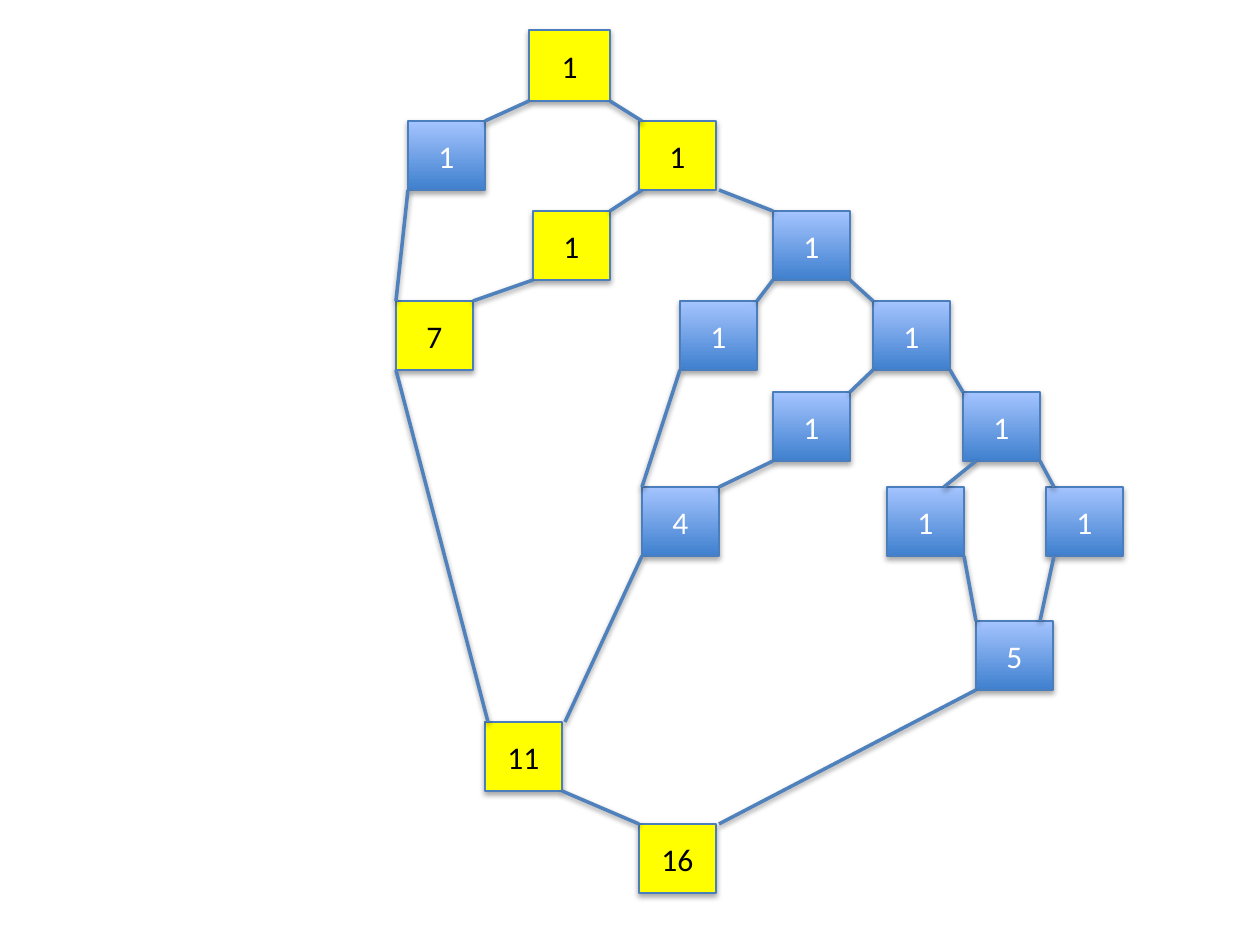
from dataclasses import dataclass

import lxml.etree
import pptx
import pptx.dml.color
import pptx.enum.shapes
import pptx.enum.text
import pptx.oxml.ns
import pptx.util

RGBColor = pptx.dml.color.RGBColor
YELLOW = RGBColor(0xFF, 0xFF, 0x00)
BLUE_BOTTOM = RGBColor(0x3F, 0x80, 0xCE)
BLUE_TOP = RGBColor(0xA4, 0xC4, 0xFF)
OUTLINE = RGBColor(0x4B, 0x7E, 0xBC)
EDGE_COLOR = RGBColor(0x4F, 0x81, 0xBD)
BLACK = RGBColor(0, 0, 0)
WHITE = RGBColor(0xFF, 0xFF, 0xFF)

EMU_PER_PIXEL = 914400 / 126


def px(pixels: int) -> pptx.util.Emu:
    return pptx.util.Emu(round(pixels * EMU_PER_PIXEL))


@dataclass(frozen=True)
class Node:
    text: str
    left: int
    top: int
    highlighted: bool = False
    width: int = 77
    height: int = 69

    def corner(self, side: str, shift: int) -> tuple[int, int]:
        """Corner such as "BL" (bottom left), shifted sideways."""
        x = self.left + (self.width if side[1] == "R" else 0)
        y = self.top + (self.height if side[0] == "B" else 0)
        return x + shift, y


@dataclass(frozen=True)
class Edge:
    start: str
    start_corner: str
    end: str
    end_corner: str
    start_shift: int = 0
    end_shift: int = 0


NODES = {
    "root": Node("1", 529, 30, True, 81, 71),
    "left": Node("1", 408, 121),
    "right": Node("1", 639, 121, True),
    "right_left": Node("1", 533, 211, True),
    "right_right": Node("1", 773, 211),
    "seven": Node("7", 396, 301, True),
    "third_right": Node("1", 873, 301),
    "third_left": Node("1", 680, 301),
    "fourth_left": Node("1", 773, 392),
    "fourth_right": Node("1", 963, 392),
    "leaf_left": Node("1", 887, 487),
    "leaf_right": Node("1", 1046, 487),
    "five": Node("5", 976, 621),
    "four": Node("4", 642, 487),
    "eleven": Node("11", 485, 722, True),
    "sixteen": Node("16", 639, 824, True),
}

EDGES = [
    # Branches that split downwards
    Edge("root", "BL", "left", "TR"),
    Edge("root", "BR", "right", "TL", 0, 3),
    Edge("right", "BL", "right_left", "TR", 3),
    Edge("right", "BR", "right_right", "TL", 3),
    Edge("right_right", "BL", "third_left", "TR"),
    Edge("right_right", "BR", "third_right", "TL"),
    Edge("third_right", "BL", "fourth_left", "TR"),
    Edge("third_right", "BR", "fourth_right", "TL"),
    Edge("fourth_right", "BL", "leaf_left", "TR", 13, -20),
    Edge("fourth_right", "BR", "leaf_right", "TL", 0, 8),
    # Branches that merge into sums
    Edge("left", "BL", "seven", "TL"),
    Edge("right_left", "BL", "seven", "TR"),
    Edge("third_left", "BL", "four", "TL"),
    Edge("fourth_left", "BL", "four", "TR"),
    Edge("leaf_left", "BR", "five", "TL"),
    Edge("leaf_right", "BL", "five", "TR", 8, -13),
    Edge("seven", "BL", "eleven", "TL", 0, 3),
    Edge("four", "BL", "eleven", "TR", 0, 3),
    Edge("eleven", "BR", "sixteen", "TL"),
    Edge("five", "BL", "sixteen", "TR", 0, 3),
]


def add_shadow(shape, distance: int, opacity: int) -> None:
    qn = pptx.oxml.ns.qn
    effects = lxml.etree.SubElement(shape._element.spPr, qn("a:effectLst"))
    shadow = lxml.etree.SubElement(
        effects, qn("a:outerShdw"), blurRad="40000", dist=str(distance),
        dir="5400000", rotWithShape="0")
    color = lxml.etree.SubElement(shadow, qn("a:srgbClr"), val="000000")
    lxml.etree.SubElement(color, qn("a:alpha"), val=str(opacity * 1000))


def add_node(slide, node: Node) -> None:
    shape = slide.shapes.add_shape(
        pptx.enum.shapes.MSO_SHAPE.RECTANGLE,
        px(node.left), px(node.top), px(node.width), px(node.height))
    if node.highlighted:
        shape.fill.solid()
        shape.fill.fore_color.rgb = YELLOW
    else:
        shape.fill.gradient()
        shape.fill.gradient_angle = 90
        for stop, color in zip(shape.fill.gradient_stops, (BLUE_BOTTOM, BLUE_TOP)):
            stop.color.rgb = color
    shape.line.color.rgb = OUTLINE
    shape.line.width = pptx.util.Pt(0.75)
    add_shadow(shape, 23000, 35)

    frame = shape.text_frame
    frame.text = node.text
    frame.vertical_anchor = pptx.enum.text.MSO_ANCHOR.MIDDLE
    paragraph = frame.paragraphs[0]
    paragraph.alignment = pptx.enum.text.PP_ALIGN.CENTER
    paragraph.font.name = "Calibri"
    paragraph.font.size = pptx.util.Pt(18)
    paragraph.font.color.rgb = BLACK if node.highlighted else WHITE


def add_edge(slide, edge: Edge) -> None:
    start = NODES[edge.start].corner(edge.start_corner, edge.start_shift)
    end = NODES[edge.end].corner(edge.end_corner, edge.end_shift)
    connector = slide.shapes.add_connector(
        pptx.enum.shapes.MSO_CONNECTOR.STRAIGHT, *map(px, start + end))
    connector.line.color.rgb = EDGE_COLOR
    connector.line.width = pptx.util.Pt(2)
    add_shadow(connector, 20000, 38)


presentation = pptx.Presentation()
presentation.slide_width = px(1260)
presentation.slide_height = px(945)
slide = presentation.slides.add_slide(presentation.slide_layouts[6])

for node in NODES.values():
    add_node(slide, node)
for edge in EDGES:
    add_edge(slide, edge)

presentation.save("out.pptx")
